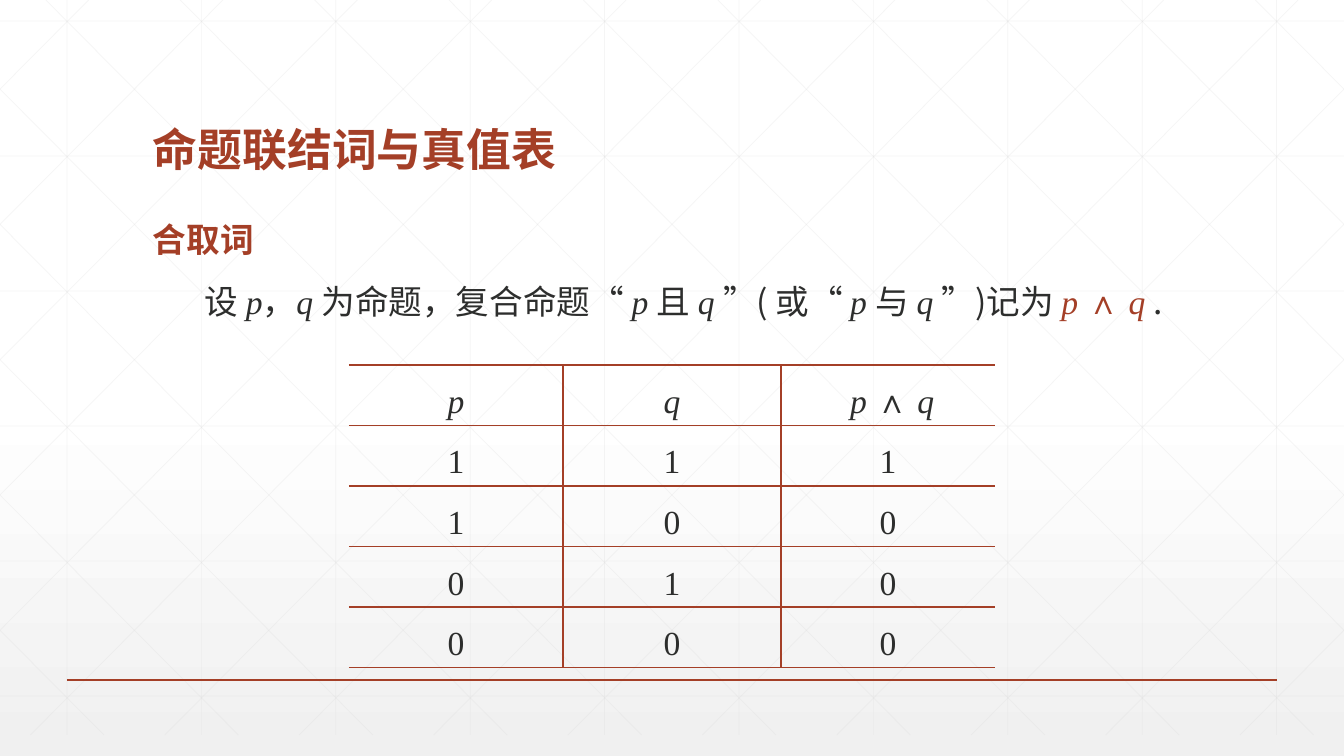
from lxml import etree
from pptx import Presentation
from pptx import util as u
from pptx.dml.color import RGBColor
from pptx.enum import lang, shapes, text
from pptx.oxml.ns import qn

COLORS = {"accent": "A43F27", "ink": "2D2E2D", "grid": "D9D9D9",
          "top": "FFFFFF", "bottom": "F0F0F0"}
SANS, SERIF = "Noto Sans CJK SC", "Times New Roman"

# style: font, colour, bold, italic
STYLES = {
    "head": (SANS, "accent", True, False),
    "han": (SANS, "ink", False, False),
    "var": (SERIF, "ink", False, True),
    "num": (SERIF, "ink", False, False),
    "key": (SERIF, "accent", False, True),
    "sign": (SERIF, "accent", False, False),
}
TITLE = [("命题联结词与真值表", "head")]
SUBHEAD = [("合取词", "head")]
DEFINITION = [
    ("设 ", "han"), ("p", "var"), ("，", "han"), ("q ", "var"),
    ("为命题，复合命题“ ", "han"), ("p ", "var"), ("且 ", "han"), ("q ", "var"),
    ("”( 或“ ", "han"), ("p ", "var"), ("与 ", "han"), ("q ", "var"),
    ("”)记为 ", "han"), ("p ", "key"), ("∧ ", "sign"), ("q ", "key"), (".", "han"),
]
TABLE_HEAD = [[("p", "var")], [("q", "var")],
              [(" ", "num"), ("p ", "var"), ("∧ ", "num"), ("q", "var")]]
TRUTHS = [(1, 1), (1, 0), (0, 1), (0, 0)]

# Lengths in px
WIDTH, HEIGHT = 1344, 756
EMU_PER_PX = u.Inches(7.5) / HEIGHT
GRID_TOP, GRID_BOTTOM = -21, 735
COLUMN_START, COLUMN_COUNT = 67, 10
ROW_START, ROW_STEP, ROW_COUNT = 21, 135, 6
DIAGONAL_START, DIAGONAL_RUN = 25, 751
FOOT_LINE = (67, 680, 1277, 680)
TITLE_BOX = (143, 55, 1058, 126)
BODY_BOX = (143, 219, 1058, 420)
FIRST_INDENT = 52
TABLE_AT, TABLE_COLUMNS, TABLE_HEIGHT = (349, 365), (214, 218, 214), 291
CELL_INSET = 7


def px(length):
    return u.Emu(round(length * EMU_PER_PX))


def rgb(name):
    return RGBColor.from_string(COLORS[name])


def add_line(page, ends, color, width, alpha=None):
    line = page.shapes.add_connector(shapes.MSO_CONNECTOR.STRAIGHT, *map(px, ends))
    line.line.color.rgb = rgb(color)
    line.line.width = u.Pt(width)
    properties = line._element.spPr
    etree.SubElement(properties, qn("a:effectLst"))
    if alpha:
        fill = properties.find(".//" + qn("a:srgbClr"))
        etree.SubElement(fill, qn("a:alpha"), val=str(alpha * 1000))


def grid_lines():
    """Yield the ends of the square grid and its diagonals, kept on the slide."""
    pitch = WIDTH / COLUMN_COUNT
    for i in range(COLUMN_COUNT):
        x = COLUMN_START + i * pitch
        yield x, 0, x, GRID_BOTTOM
    for i in range(ROW_COUNT):
        y = ROW_START + i * ROW_STEP
        yield 0, y, WIDTH, y
    slope = (GRID_BOTTOM - GRID_TOP) / DIAGONAL_RUN
    for i in range(-5, COLUMN_COUNT):
        x = DIAGONAL_START + i * pitch
        y1 = max(0, GRID_TOP - x * slope)
        y2 = min(GRID_BOTTOM, GRID_TOP + (WIDTH - x) * slope)
        x1, x2 = (x + (y - GRID_TOP) / slope for y in (y1, y2))
        yield x1, y1, x2, y2
        yield WIDTH - x1, y1, WIDTH - x2, y2


def write(para, spans, size, spacing):
    para.line_spacing = spacing
    for words, style in spans:
        face, color, bold, italic = STYLES[style]
        span = para.add_run()
        span.text = words
        font = span.font
        font.size, font.bold, font.italic = u.Pt(size), bold, italic
        font.language_id = lang.MSO_LANGUAGE_ID.SIMPLIFIED_CHINESE
        font.color.rgb = rgb(color)
        font.name = face
        etree.SubElement(span._r.get_or_add_rPr(), qn("a:ea"), typeface=SANS)


def add_box(page, place, anchor):
    frame = page.shapes.add_textbox(*map(px, place)).text_frame
    frame.word_wrap = True
    frame.vertical_anchor = anchor
    return frame


def set_borders(cell, hidden):
    properties = cell._tc.get_or_add_tcPr()
    for i, side in enumerate(("lnL", "lnR", "lnT", "lnB")):
        edge = etree.Element(qn("a:" + side), w=str(u.Pt(1)))
        if side in hidden:
            etree.SubElement(edge, qn("a:noFill"))
        else:
            fill = etree.SubElement(edge, qn("a:solidFill"))
            etree.SubElement(fill, qn("a:srgbClr"), val=COLORS["accent"])
        properties.insert(i, edge)


def add_truth_table(page):
    rows = [TABLE_HEAD] + [[[(str(value), "num")] for value in (p, q, p & q)]
                           for p, q in TRUTHS]
    place = (*TABLE_AT, sum(TABLE_COLUMNS), TABLE_HEIGHT)
    table = page.shapes.add_table(len(rows), len(TABLE_COLUMNS), *map(px, place)).table
    table.first_row = table.horz_banding = False
    for column, width in zip(table.columns, TABLE_COLUMNS):
        column.width = px(width)
    hidden_sides = (["lnL"], [], ["lnR"])
    for r, row in enumerate(rows):
        for c, spans in enumerate(row):
            cell = table.cell(r, c)
            cell.margin_left = cell.margin_right = px(CELL_INSET)
            cell.margin_top = cell.margin_bottom = 0
            cell.fill.background()
            set_borders(cell, hidden_sides[c])
            para = cell.text_frame.paragraphs[0]
            para.alignment = text.PP_ALIGN.CENTER
            write(para, spans, 24, 1.5)


def main():
    deck = Presentation()
    deck.slide_width, deck.slide_height = px(WIDTH), px(HEIGHT)
    page = deck.slides.add_slide(deck.slide_layouts[6])

    backdrop = page.background.fill
    backdrop.gradient()
    backdrop.gradient_angle = 270
    for stop, position, color in zip(backdrop.gradient_stops, (0.53, 1), ("top", "bottom")):
        stop.position = position
        stop.color.rgb = rgb(color)

    for ends in grid_lines():
        add_line(page, ends, "grid", 0.5, alpha=25)
    add_line(page, FOOT_LINE, "accent", 1)

    title = add_box(page, TITLE_BOX, text.MSO_ANCHOR.BOTTOM)
    write(title.paragraphs[0], TITLE, 32, 0.9)
    body = add_box(page, BODY_BOX, text.MSO_ANCHOR.TOP)
    write(body.paragraphs[0], SUBHEAD, 24, 0.9)
    definition = body.add_paragraph()
    definition.space_before = u.Pt(18)
    definition._p.get_or_add_pPr().set("indent", str(px(FIRST_INDENT)))
    write(definition, DEFINITION, 24, 0.9)

    add_truth_table(page)
    deck.save("out.pptx")


if __name__ == "__main__":
    main()
